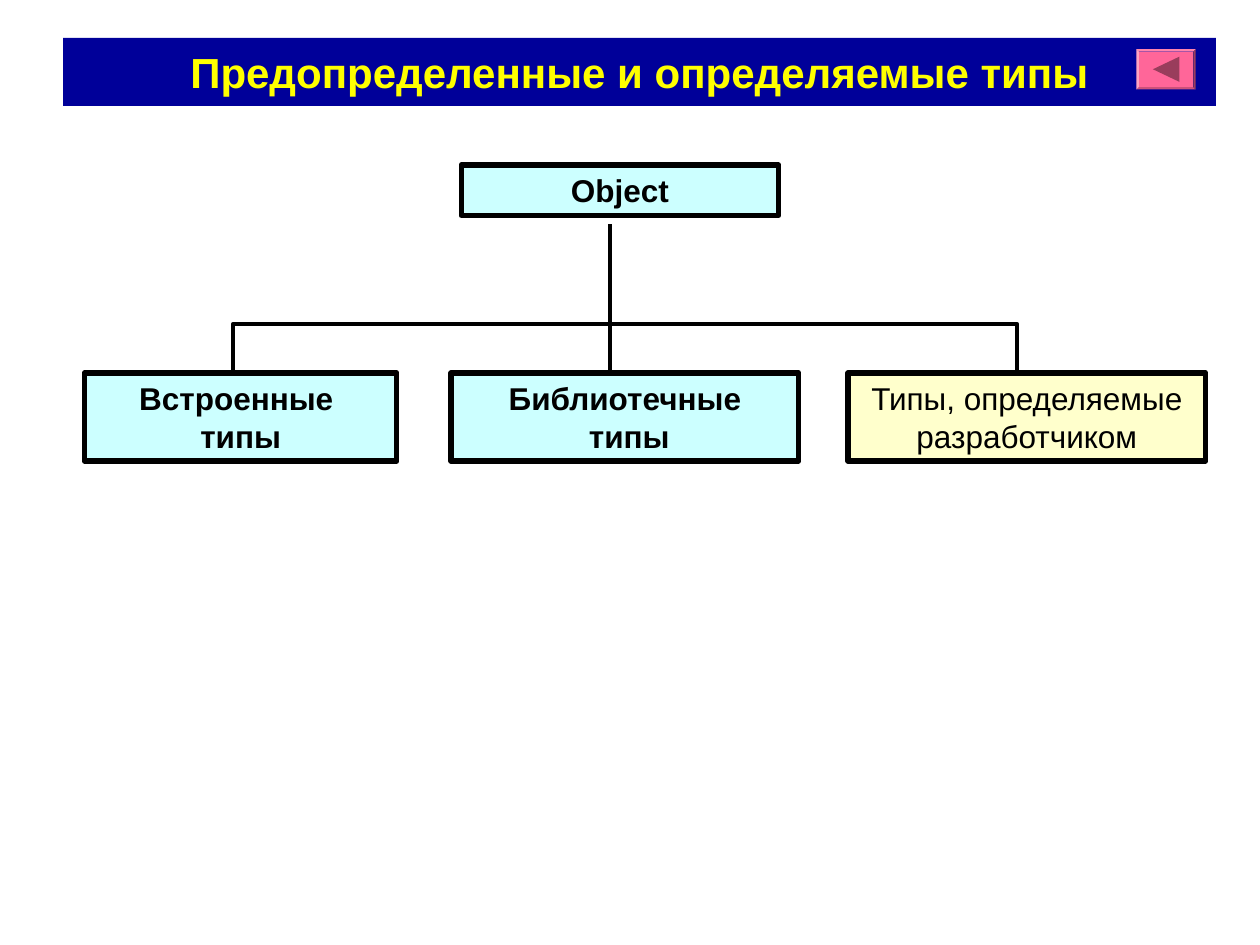
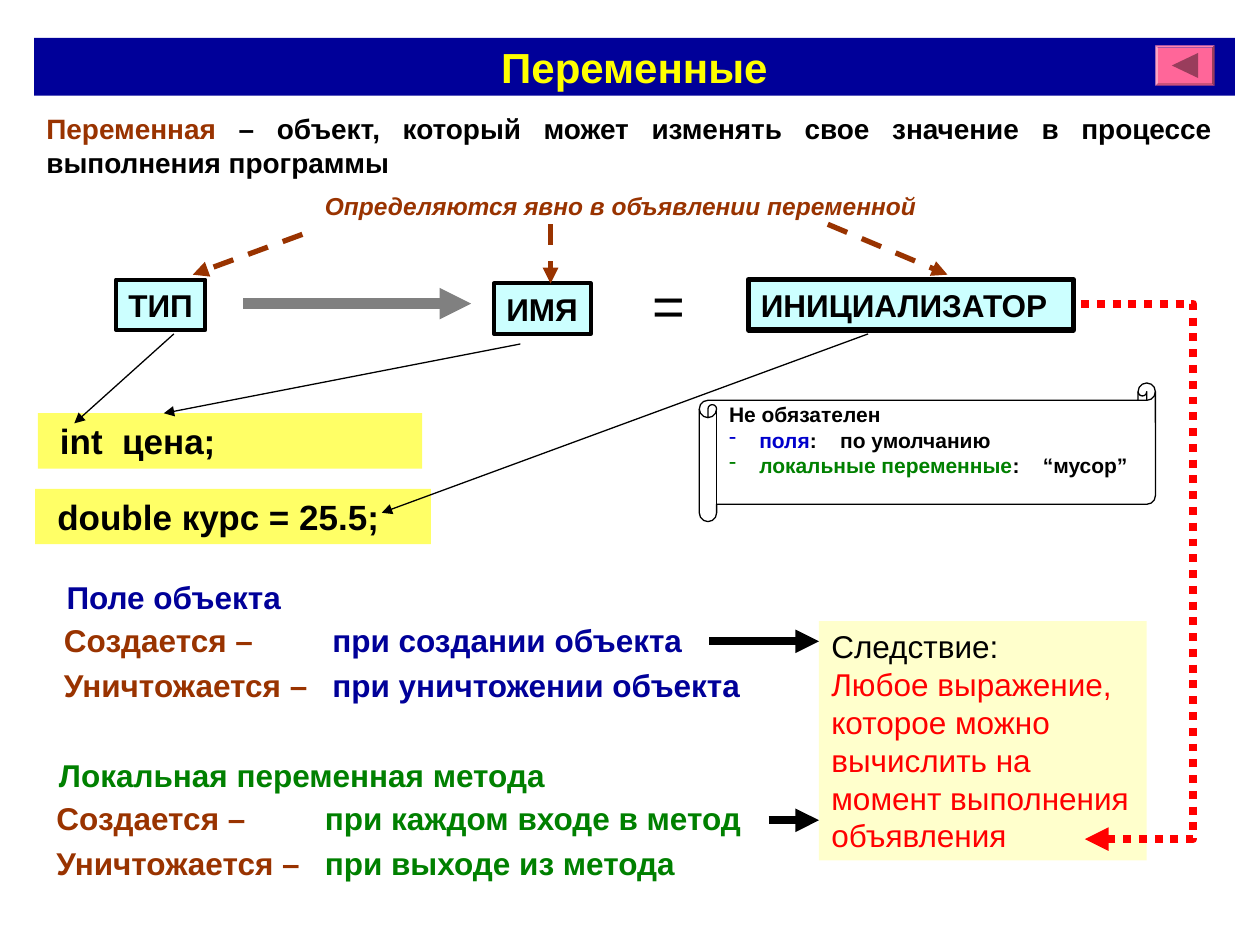
from lxml import etree
from pptx import Presentation
from pptx import util as u
from pptx.dml.color import RGBColor
from pptx.enum import dml, shapes, text
from pptx.oxml.ns import qn

PX = 9144
HUES = {
    "navy": "000099", "yellow": "FFFF00", "pink": "FF6699", "plum": "993D5C",
    "aqua": "CCFFFF", "cream": "FFFFCC", "lemon": "FFFF66", "black": "000000",
    "brown": "993300", "grey": "808080", "red": "FF0000", "green": "008000",
    "blue": "0000CC",
}
FORM = shapes.MSO_SHAPE
ALIGN = text.PP_ALIGN
DASH = dml.MSO_LINE


def px(*nums):
    return [u.Emu(n * PX) for n in nums]


def hue(name):
    return RGBColor.from_string(HUES[name])


def add(node, tag, **attrs):
    return etree.SubElement(node, qn(tag), attrs)


class Deck:
    def __init__(self):
        self.prs = Presentation()
        self.prs.slide_width, self.prs.slide_height = px(1000, 750)
        self.font = "Arial"
        self.slide = None

    def page(self, name, x, y, w, h, back):
        self.slide = self.prs.slides.add_slide(self.prs.slide_layouts[5])
        title = self.slide.shapes.title
        title.left, title.top, title.width, title.height = px(x, y, w, h)
        self.paint(title, "navy")
        frame = title.text_frame
        frame.word_wrap = True
        frame.auto_size = text.MSO_AUTO_SIZE.NONE
        frame.vertical_anchor = text.MSO_ANCHOR.MIDDLE
        self.label(frame.paragraphs[0], [(name, "yellow")], 24, align=ALIGN.CENTER)
        self.button(*back)

    def paint(self, shape, fill=None, edge=None, weight=1):
        if fill:
            shape.fill.solid()
            shape.fill.fore_color.rgb = hue(fill)
        else:
            shape.fill.background()
        if edge:
            self.stroke(shape, edge, weight)
        else:
            shape.line.fill.background()

    def stroke(self, shape, edge, weight, dash=None, arrow=False):
        shape.line.color.rgb = hue(edge)
        shape.line.width = u.Pt(weight)
        if dash:
            shape.line.dash_style = dash
        if arrow:
            add(shape.element.spPr.find(qn("a:ln")), "a:tailEnd", type="triangle")

    def label(self, para, runs, size, bold=True, italic=False, align=ALIGN.LEFT):
        para.alignment = align
        for words, color, *gap in runs:
            run = para.add_run()
            run.text = words
            font = run.font
            font.name, font.size = self.font, u.Pt(size)
            font.bold, font.italic = bold, italic
            font.color.rgb = hue(color)
            if gap:
                run._r.get_or_add_rPr().set("spc", str(gap[0] * 100))

    def box(self, x, y, w, h, paras, size=18, fill=None, edge=None, weight=3,
            form=FORM.RECTANGLE, wrap=True, tab=None, **style):
        if fill or edge:
            shape = self.slide.shapes.add_shape(form, *px(x, y, w, h))
            shape.shadow.inherit = False
            self.paint(shape, fill, edge, weight)
        else:
            shape = self.slide.shapes.add_textbox(*px(x, y, w, h))
        frame = shape.text_frame
        frame.word_wrap = wrap
        frame.vertical_anchor = text.MSO_ANCHOR.TOP
        for i, runs in enumerate(paras):
            para = frame.add_paragraph() if i else frame.paragraphs[0]
            if tab:
                tabs = add(para._p.get_or_add_pPr(), "a:tabLst")
                add(tabs, "a:tab", pos=str(tab * PX), algn="l")
            self.label(para, runs, size, **style)
        return shape

    def bullet(self, para, color, step):
        props = para._p.get_or_add_pPr()
        props.set("marL", str(step * PX))
        props.set("indent", str(-step * PX))
        add(add(props, "a:buClr"), "a:srgbClr", val=HUES[color])
        add(props, "a:buChar", char="-")

    def line(self, x1, y1, x2, y2, edge="black", weight=2.25, dash=None, arrow=True):
        link = self.slide.shapes.add_connector(
            shapes.MSO_CONNECTOR.STRAIGHT, *px(x1, y1, x2, y2))
        self.stroke(link, edge, weight, dash, arrow)
        add(link.element.spPr, "a:effectLst")

    def trace(self, dots, close=False):
        pen = self.slide.shapes.build_freeform(*dots[0], scale=PX)
        pen.add_line_segments(dots[1:], close=close)
        shape = pen.convert_to_shape()
        shape.shadow.inherit = False
        shape.fill.background()
        return shape

    def button(self, x, y):
        base = self.slide.shapes.add_shape(FORM.BEVEL, *px(x, y, 47, 32))
        base.shadow.inherit = False
        base.adjustments[0] = 0.06
        self.paint(base, "pink")
        mark = self.trace([(x + 13, y + 16), (x + 34, y + 6), (x + 34, y + 26)], True)
        self.paint(mark, "plum")


def types(deck):
    deck.page("Предопределенные и определяемые типы", 50, 30, 915, 54, (902, 39))
    kinds = [
        (366, 131, 252, 40, ["Object"], "aqua", True),
        (67, 296, 248, 70, ["Встроенные ", "типы"], "aqua", True),
        (358, 296, 276, 70, ["Библиотечные", " типы"], "aqua", True),
        (673, 296, 284, 70, ["Типы, определяемые разработчиком"], "cream", False),
    ]
    for x, y, w, h, words, fill, bold in kinds:
        deck.box(x, y, w, h, [[(row, "black")] for row in words], fill=fill,
                 edge="black", bold=bold, align=ALIGN.CENTER)
    fork = deck.trace([(185, 296), (185, 257), (807, 257), (807, 296)])
    deck.stroke(fork, "black", 2.25)
    deck.line(484, 296, 484, 178, arrow=False)


def life(deck, x, y, color, head, born, dead):
    deck.box(x + 2, y, 407, 40, [[(head, color)]])
    rows = [("Создается –", born), ("Уничтожается –", dead)]
    for i, (verb, when) in enumerate(rows):
        deck.box(x, y + 34 + 36 * i, 874, 40,
                 [[(verb + "\t", "brown"), (when, color)]], tab=213)


def note(deck):
    rows = [
        [("Не обязателен", "black")],
        [("поля", "blue"), (":", "black"), (" ", "black", 10), ("по умолчанию", "black")],
        [("локальные переменные", "green"), (":", "black"), (" ", "black", 10),
         ("“мусор”", "black")],
    ]
    roll = deck.box(555, 304, 362, 110, rows, 12, edge="black", weight=0.75,
                    form=FORM.HORIZONTAL_SCROLL)
    frame = roll.text_frame
    frame.vertical_anchor = text.MSO_ANCHOR.MIDDLE
    frame.margin_right, frame.margin_bottom = px(0, 25)
    for para, color in zip(frame.paragraphs[1:], ["blue", "green"]):
        deck.bullet(para, color, 24)


def names(deck):
    deck.page("Переменные", 27, 30, 953, 46, (917, 36))
    deck.box(27, 84, 945, 64, [[
        ("Переменная", "brown"),
        (" – объект, который может изменять свое значение в процессе"
         " выполнения программы", "black")]], 16, align=ALIGN.JUSTIFY)
    deck.box(248, 147, 528, 34, [[("Определяются явно в объявлении переменной", "brown")]],
             14, italic=True)

    parts = [(92, 222, 71, "ТИП", 2.25, False), (392, 225, 77, "ИМЯ", 2.25, False),
             (594, 222, 258, "ИНИЦИАЛИЗАТОР", 3, True)]
    for x, y, w, word, weight, wrap in parts:
        deck.box(x, y, w, 40, [[(word, "black")]], fill="aqua", edge="black",
                 weight=weight, wrap=wrap)
    deck.box(508, 210, 46, 64, [[("=", "black")]], 32, bold=False, wrap=False)

    for x, y, w, code in [(30, 328, 305, " int  цена;"),
                          (28, 388, 314, " double курс = 25.5;")]:
        deck.box(x, y, w, 44, [[(code, "black")]], 20, fill="lemon")

    deck.line(193, 241, 374, 241, "grey", 6)
    for ends in [(657, 178, 752, 218), (240, 186, 153, 218), (437, 178, 437, 225)]:
        deck.line(*ends, "brown", 3, DASH.DASH)
    for ends in [(138, 265, 59, 336), (413, 273, 130, 328), (689, 265, 303, 407)]:
        deck.line(*ends, weight=0.75)

    life(deck, 41, 454, "navy", "Поле объекта",
         "при создании объекта", "при уничтожении объекта")
    life(deck, 35, 595, "green", "Локальная переменная метода",
         "при каждом входе в метод", "при выходе из метода")

    deck.box(650, 493, 260, 190, [
        [("Следствие:", "black")],
        [("Любое выражение, которое можно вычислить на момент выполнения"
          " объявления", "red")]], fill="cream", bold=False)
    for x, y in [(563, 509), (610, 651)]:
        deck.line(x, y, 650, y, weight=4.5)
    route = deck.trace([(858, 241), (947, 241), (947, 666), (861, 666)])
    deck.stroke(route, "red", 4.5, DASH.ROUND_DOT, True)
    note(deck)


def main():
    deck = Deck()
    types(deck)
    names(deck)
    deck.prs.save("out.pptx")


if __name__ == "__main__":
    main()
